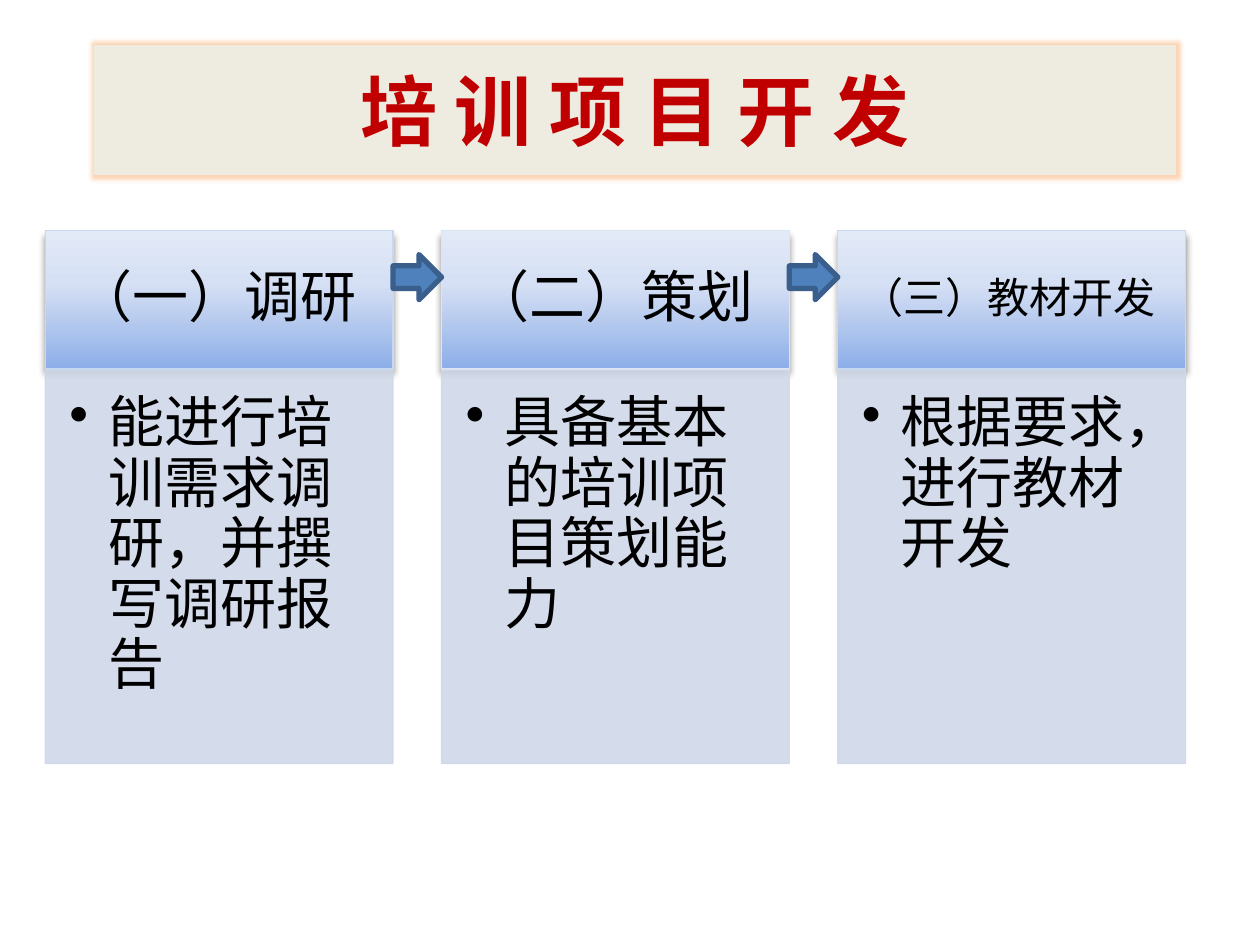
from lxml.etree import SubElement
from pptx import Presentation
from pptx.dml.color import RGBColor
from pptx.enum.shapes import MSO_SHAPE as Shape
from pptx.enum.text import MSO_ANCHOR as Anchor, PP_ALIGN as Align
from pptx.oxml.ns import qn
from pptx.util import Inches, Pt

TITLE = "培 训 项 目 开 发"
STEPS = [
    {"head": "（一）调研", "body": "能进行培训需求调研，并撰写调研报告",
     "size": 32, "inset": (0.25, 0.14, 0.25, 0.14), "edge": "C6D9F1"},
    {"head": "（二）策划", "body": "具备基本的培训项目策划能力",
     "size": 32, "inset": (0.25, 0.14, 0.25, 0.14), "edge": "DCE6F2"},
    {"head": "（三）教材开发", "body": "根据要求，进行教材开发",
     "size": 24, "inset": (0.19, 0.11, 0.19, 0.11), "edge": "C6D9F1"},
]
THEME = {
    "font": "Calibri", "ink": "000000",
    "title_ink": "C00000", "title_fill": "EEECE1", "title_size": 44,
    "glow": "F79646",
    "gradient": [(0, "8DAEE8"), (62, "D6E0F4"), (100, "E2E9F7")],
    "panel": "D0D8E8", "body_size": 32,
    "arrow": "4F81BD", "arrow_edge": "3A5F8C",
}
LEFT, TOP, WIDTH, GAP = 0.36, 1.83, 2.76, 0.385
HEAD_HEIGHT, BODY_TOP, BODY_HEIGHT = 1.1, 2.94, 3.12
ARROW_TOP, ARROW_HEIGHT = 2.02, 0.36


def add_child(parent, tag, **attributes):
    return SubElement(parent, qn(tag), {key: str(value) for key, value in attributes.items()})


def add_box(page, kind, place, fill, edge, edge_width=0.75):
    box = page.shapes.add_shape(kind, *map(Inches, place))
    box.shadow.inherit = False
    box.fill.solid()
    box.fill.fore_color.rgb = RGBColor.from_string(fill)
    box.line.color.rgb = RGBColor.from_string(edge)
    box.line.width = Pt(edge_width)
    return box


def add_effect(box, tag, color, alpha, **attributes):
    effect = add_child(box._element.spPr.find(qn("a:effectLst")), tag, **attributes)
    add_child(add_child(effect, "a:srgbClr", val=color), "a:alpha", val=alpha * 1000)


def set_gradient(box, stops):
    box.fill.gradient()
    box.fill.gradient_angle = 90
    stop_list = box._element.spPr.find(qn("a:gradFill")).find(qn("a:gsLst"))
    stop_list.clear()
    for position, color in stops:
        stop = add_child(stop_list, "a:gs", pos=position * 1000)
        add_child(stop, "a:srgbClr", val=color)


def write(box, text, size, color, inset, anchor, align=Align.LEFT, bold=False, spacing=1.0, bullet=False):
    frame = box.text_frame
    frame.word_wrap = True
    frame.vertical_anchor = anchor
    for side, value in zip(("left", "top", "right", "bottom"), inset):
        setattr(frame, f"margin_{side}", Inches(value))
    para = frame.paragraphs[0]
    para.alignment = align
    para.line_spacing = spacing
    if bullet:
        para.level = 1
        properties = para._p.get_or_add_pPr()
        properties.set("marL", str(Inches(0.31)))
        properties.set("indent", str(Inches(-0.31)))
        add_child(properties, "a:buChar", char="•")
    span = para.add_run()
    span.text = text
    for name, value in {"name": THEME["font"], "size": Pt(size), "bold": bold}.items():
        setattr(span.font, name, value)
    span.font.color.rgb = RGBColor.from_string(color)


def add_step(page, left, step):
    head = add_box(page, Shape.RECTANGLE, (left, TOP, WIDTH, HEAD_HEIGHT), THEME["panel"], step["edge"])
    set_gradient(head, THEME["gradient"])
    add_effect(head, "a:outerShdw", "000000", 43, blurRad=Pt(4), dist=Pt(3), dir=5400000, rotWithShape=0)
    write(head, step["head"], step["size"], THEME["ink"], step["inset"], Anchor.MIDDLE, spacing=0.9)

    body = add_box(page, Shape.RECTANGLE, (left, BODY_TOP, WIDTH, BODY_HEIGHT), THEME["panel"], THEME["panel"])
    for color in body._element.spPr.iter(qn("a:srgbClr")):
        add_child(color, "a:alpha", val=90000)
    write(body, step["body"], THEME["body_size"], THEME["ink"], (0.19, 0.19, 0.25, 0.28),
          Anchor.TOP, spacing=0.9, bullet=True)


def main():
    deck = Presentation()
    deck.slide_width, deck.slide_height = Inches(10), Inches(7.5)
    page = deck.slides.add_slide(deck.slide_layouts[6])

    lefts = [LEFT + index * (WIDTH + GAP) for index in range(len(STEPS))]
    for left, step in zip(lefts, STEPS):
        add_step(page, left, step)

    title = add_box(page, Shape.ROUNDED_RECTANGLE, (0.75, 0.36, 8.58, 1.02),
                    THEME["title_fill"], THEME["title_fill"])
    title.adjustments[0] = 0
    add_effect(title, "a:glow", THEME["glow"], 40, rad=Pt(5))
    write(title, TITLE, THEME["title_size"], THEME["title_ink"], (0.1, 0.05, 0.1, 0.05),
          Anchor.MIDDLE, align=Align.CENTER, bold=True)

    for left in lefts[:-1]:
        add_box(page, Shape.RIGHT_ARROW, (left + WIDTH, ARROW_TOP, GAP, ARROW_HEIGHT),
                THEME["arrow"], THEME["arrow_edge"], 3)

    deck.save("out.pptx")


if __name__ == "__main__":
    main()
